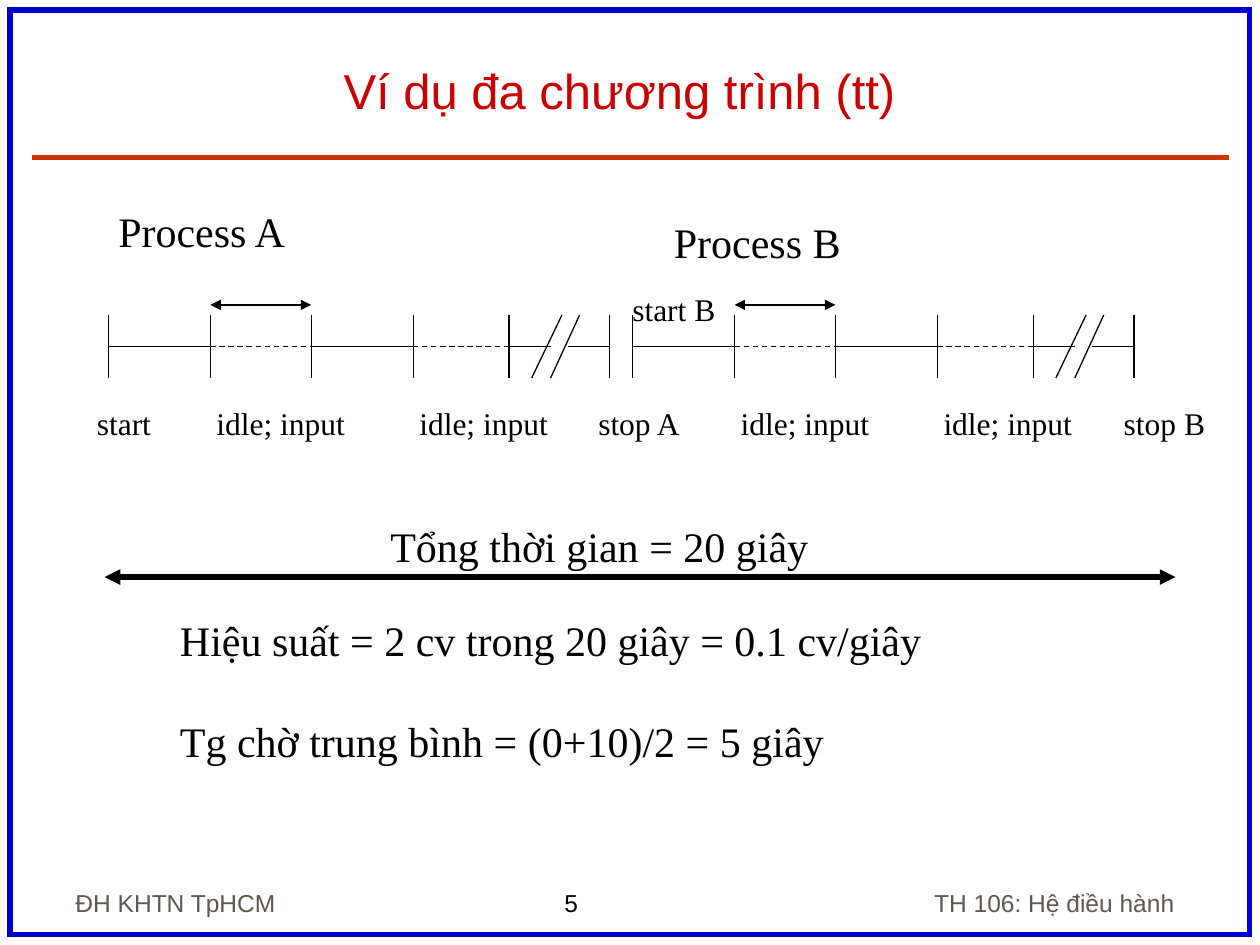
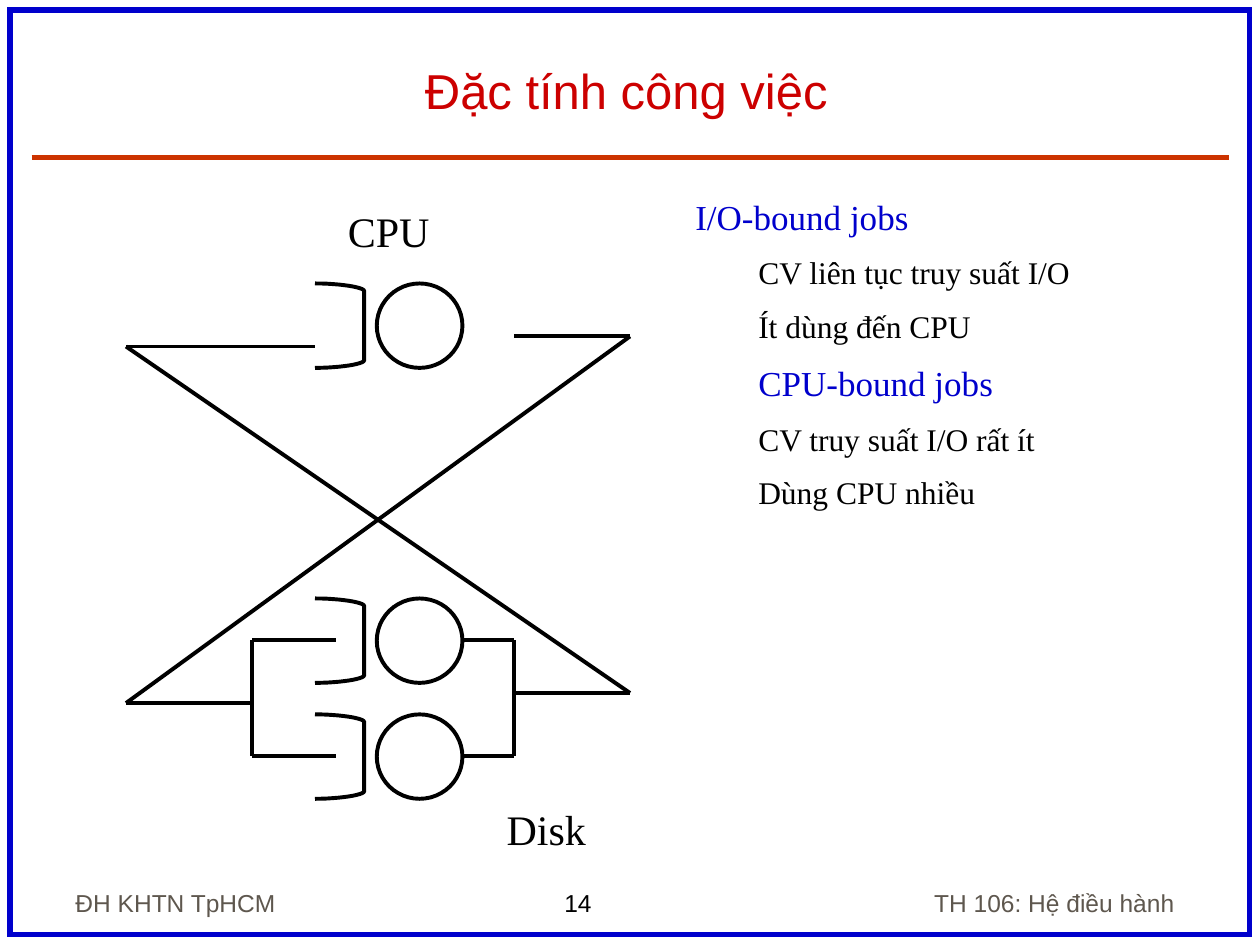
import pptx
import pptx.util
import pptx.dml.color
import pptx.enum.dml
import pptx.enum.shapes
import pptx.enum.text
import pptx.oxml.ns
from lxml import etree

Inches, Pt = pptx.util.Inches, pptx.util.Pt
RGB = pptx.dml.color.RGBColor
ALIGN = pptx.enum.text.PP_ALIGN
ANCHOR = pptx.enum.text.MSO_ANCHOR
SHAPE = pptx.enum.shapes.MSO_SHAPE
qn = pptx.oxml.ns.qn

BLACK = RGB(0x00, 0x00, 0x00)
BLUE = RGB(0x00, 0x00, 0xCC)
RED = RGB(0xCC, 0x00, 0x00)
RULE = RGB(0xCC, 0x33, 0x00)
GREY = RGB(0x5E, 0x57, 0x4E)
SANS, SERIF = "Arial", "Times New Roman"

# Shared footers: text, box, alignment
FOOTERS = [
    ("ĐH KHTN TpHCM", (0.5, 6.83, 2.08, 0.5), ALIGN.LEFT),
    ("TH 106: Hệ điều hành", (6.67, 6.83, 2.75, 0.5), ALIGN.RIGHT),
]

# Slide 5: two processes run one after the other
MULTI_TITLE = "Ví dụ đa chương trình (tt) "
PROCESS_STARTS = [0.86, 5.02]
AXIS_Y, TICK_TOP, TICK_BOTTOM, ARROW_Y = 2.75, 2.5, 3, 2.42
TICKS = [0, 0.81, 1.61, 2.42, 3.18, 3.98]
BUSY = [(0, 0.81), (1.61, 2.42), (3.18, 3.51), (3.65, 3.98)]
IDLE = [(0.81, 1.61), (2.42, 3.22)]
BREAK_MARKS = [(3.6, 3.36), (3.74, 3.51)]
IDLE_LABELS = [0.76, 2.37]
TIMELINE_LABELS = [  # text, box, size
    ("Process A", (0.84, 1.58, 1.62, 0.5), 24),
    ("Process B", (5.25, 1.67, 1.62, 0.5), 24),
    ("start", (0.67, 3.16, 0.68, 0.4), 18),
    ("start B", (4.92, 2.25, 0.9, 0.4), 18),
    ("stop A", (4.65, 3.16, 0.9, 0.4), 18),
    ("stop B", (8.82, 3.16, 0.9, 0.4), 18),
    ("Tổng thời gian = 20 giây", (3, 4.08, 3.6, 0.5), 24),
]
RESULTS = [
    "Hiệu suất = 2 cv trong 20 giây = 0.1 cv/giây",
    "Tg chờ trung bình = (0+10)/2 = 5 giây",
]

# Slide 14: job profiles and the CPU/disk queues
JOBS_TITLE = "Đặc tính công việc"
JOBS = [  # text, is heading, left indent
    ("I/O-bound jobs", True, 0),
    ("CV liên tục truy suất I/O", False, 0.5),
    ("Ít dùng đến CPU", False, 0.5),
    ("CPU-bound jobs", True, 0.5),
    ("CV truy suất I/O rất ít", False, 0.5),
    ("Dùng CPU nhiều", False, 0.5),
]
QUEUE_TOPS = [2.25, 4.75, 5.67]  # CPU, disk 1, disk 2
QUEUE_LABELS = [
    ("CPU", (2.66, 1.58, 0.85, 0.5)),
    ("Disk", (3.92, 6.33, 0.83, 0.5)),
]
DISK_YS = [5.08, 6]
FLOWS = [  # runs of joined lines
    [(4.08, 2.67), (5, 2.67), (1, 5.58), (2, 5.58)],
    [(4.08, 5.5), (5, 5.5), (1, 2.75), (2.5, 2.75)],
]


def add_text(s, text, box, size=24, font=SERIF, color=BLACK,
             align=ALIGN.LEFT, anchor=ANCHOR.TOP, wrap=False, gap=0):
    """Put text (one string or a list of paragraphs) in a box."""
    tf = s.shapes.add_textbox(*map(Inches, box)).text_frame
    tf.word_wrap = wrap
    tf.vertical_anchor = anchor
    if not wrap:
        tf.auto_size = pptx.enum.text.MSO_AUTO_SIZE.SHAPE_TO_FIT_TEXT
    for i, line in enumerate([text] if isinstance(text, str) else text):
        p = tf.add_paragraph() if i else tf.paragraphs[0]
        p.alignment = align
        if i:
            p.space_before = Pt(gap)
        r = p.add_run()
        r.text = line
        r.font.size = Pt(size)
        r.font.name = font
        r.font.color.rgb = color
    return tf


def add_line(s, start, end, width=0.75, color=BLACK, dashed=False, arrows=False):
    c = s.shapes.add_connector(pptx.enum.shapes.MSO_CONNECTOR.STRAIGHT,
                               *map(Inches, (*start, *end)))
    c.line.color.rgb = color
    c.line.width = Pt(width)
    if dashed:
        c.line.dash_style = pptx.enum.dml.MSO_LINE.DASH
    if arrows:
        for tag in ("a:headEnd", "a:tailEnd"):
            etree.SubElement(c.line._get_or_add_ln(), qn(tag), type="triangle")
    etree.SubElement(c._element.spPr, qn("a:effectLst"))


def outline(shape, width, color=BLACK):
    shape.shadow.inherit = False
    shape.fill.background()
    shape.line.color.rgb = color
    shape.line.width = Pt(width)
    etree.SubElement(shape.line._get_or_add_ln(), qn("a:miter"), lim="800000")


def new_slide(prs, title, number):
    s = prs.slides.add_slide(prs.slide_layouts[6])
    add_text(s, number, (4.38, 7, 1.09, 0.34), size=14, font=SANS)
    frame = s.shapes.add_shape(SHAPE.RECTANGLE,
                               *map(Inches, (0.08, 0.08, 9.84, 7.34)))
    outline(frame, 3, BLUE)
    add_line(s, (0.25, 1.25), (9.75, 1.25), 3, RULE)
    for text, box, align in FOOTERS:
        add_text(s, text, box, size=14, font=SANS, color=GREY, align=align,
                 anchor=ANCHOR.BOTTOM, wrap=True)
    add_text(s, title, (0.44, 0.25, 9.06, 0.75), size=28, font=SANS, color=RED,
             align=ALIGN.CENTER, anchor=ANCHOR.BOTTOM, wrap=True)
    return s


def add_timeline(s, x0):
    for a, b in BUSY:
        add_line(s, (x0 + a, AXIS_Y), (x0 + b, AXIS_Y))
    for a, b in IDLE:
        add_line(s, (x0 + a, AXIS_Y), (x0 + b, AXIS_Y), dashed=True)
    for top, bottom in [(x, x) for x in TICKS] + BREAK_MARKS:
        add_line(s, (x0 + top, TICK_TOP), (x0 + bottom, TICK_BOTTOM))
    first_idle = IDLE[0]
    add_line(s, (x0 + first_idle[0], ARROW_Y), (x0 + first_idle[1], ARROW_Y),
             arrows=True)
    for x in IDLE_LABELS:
        add_text(s, "idle; input", (x0 + x, 3.16, 1.24, 0.4), size=18)


def add_queue(s, top):
    """Draw a bracket with curved arms, and the server circle beside it."""
    left, width, height, bend = 2.5, 0.39, 0.67, 0.06
    steps = [i / 12 for i in range(13)]
    arm = []
    for t in steps:
        u = 1 - t
        x = width * (1.5 * u * u * t + 3 * u * t * t + t ** 3)
        y = bend * (1.5 * u * t * t + t ** 3)
        arm.append((x, y))
    points = arm + [(x, height - y) for x, y in reversed(arm)]
    points = [(Inches(left + x), Inches(top + y)) for x, y in points]
    builder = s.shapes.build_freeform(*points[0])
    builder.add_line_segments(points[1:], close=False)
    outline(builder.convert_to_shape(), 2.25)
    circle = s.shapes.add_shape(SHAPE.OVAL,
                                *map(Inches, (2.99, top, 0.68, height)))
    outline(circle, 2.25)


def build_multiprogramming(prs):
    s = new_slide(prs, MULTI_TITLE, "5")
    add_line(s, (0.83, 4.58), (9.33, 4.58), 3, arrows=True)
    for x0 in PROCESS_STARTS:
        add_timeline(s, x0)
    for text, box, size in TIMELINE_LABELS:
        add_text(s, text, box, size=size)
    add_text(s, RESULTS, (1.33, 4.83, 6.2, 1.3), gap=29)


def build_jobs(prs):
    s = new_slide(prs, JOBS_TITLE, "14")
    tf = add_text(s, [job[0] for job in JOBS], (5.42, 1.5, 4.03, 5.13),
                  size=18, wrap=True, gap=9)
    for p, (_, heading, indent) in zip(tf.paragraphs, JOBS):
        p._p.get_or_add_pPr().set("marL", str(Inches(indent)))
        if heading:
            p.runs[0].font.size = Pt(20)
            p.runs[0].font.color.rgb = BLUE
            if indent:
                p.space_before = Pt(10)
    for top in QUEUE_TOPS:
        add_queue(s, top)
    forks = [[(x, DISK_YS[0]), (x, DISK_YS[1])] for x in (2, 4.08)]
    branches = [[(a, y), (b, y)] for y in DISK_YS
                for a, b in ((2, 2.67), (3.67, 4.08))]
    for flow in FLOWS + forks + branches:
        for start, end in zip(flow, flow[1:]):
            add_line(s, start, end, 2.25)
    for text, box in QUEUE_LABELS:
        add_text(s, text, box, align=ALIGN.CENTER)


def main():
    prs = pptx.Presentation()
    prs.slide_width, prs.slide_height = Inches(10), Inches(7.5)
    build_multiprogramming(prs)
    build_jobs(prs)
    prs.save("out.pptx")


if __name__ == "__main__":
    main()
